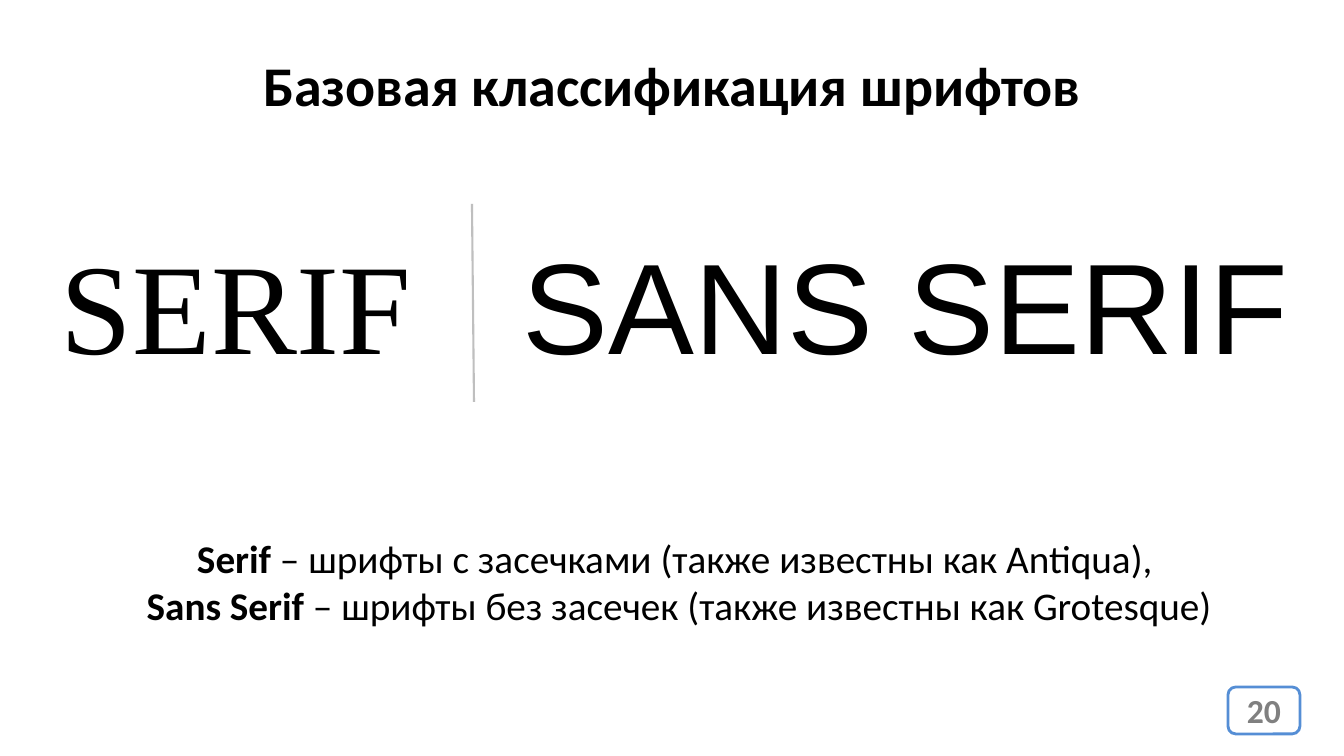
import pptx
import pptx.util
import pptx.dml.color
import pptx.enum.shapes
import pptx.enum.text
from lxml import etree

# Content: paragraphs are lists of (text, bold) runs
TITLE = [[("Базовая классификация шрифтов", True)]]
DEFINITIONS = [
    [("Serif", True), (" – шрифты с засечками (также известны как Antiqua), ", False)],
    [("Sans Serif ", True), ("– шрифты без засечек (также известны как Grotesque)", False)],
]
SAMPLES = [("SERIF", "Times New Roman", 51, 375), ("SANS SERIF", "Arial", 513, 794)]
PAGE_NUMBER = [[("20", True)]]

THEME = {
    "font": "Calibri",
    "text": "000000", "muted": "808080", "paper": "FFFFFF",
    "accent": "558ED5", "divider": "BFBFBF",
    "title": 40, "body": 28, "sample": 92, "number": 24,
}

# Layout in px
WIDTH, HEIGHT = 1344, 756
TITLE_BOX = (0, 46, WIDTH, 78)
DEFINITIONS_BOX = (52, 529, 1254, 105)
SAMPLE_TOP, SAMPLE_HEIGHT = 221, 166
DIVIDER = (472, 204, 474, 402)
BADGE_BOX = (1228, 687, 72, 47)

CENTER = pptx.enum.text.PP_ALIGN.CENTER
LEFT = pptx.enum.text.PP_ALIGN.LEFT


def px(n):
    return pptx.util.Emu(round(n * 914400 / 100.8))


def color(name):
    return pptx.dml.color.RGBColor.from_string(THEME[name])


def write(tf, paragraphs, size, font=THEME["font"], ink="text", align=CENTER):
    for i, runs in enumerate(paragraphs):
        p = tf.add_paragraph() if i else tf.paragraphs[0]
        p.alignment = align
        for text, bold in runs:
            r = p.add_run()
            r.text = text
            r.font.name = font
            r.font.size = pptx.util.Pt(THEME[size])
            r.font.bold = bold
            r.font.color.rgb = color(ink)


def add_text(s, box, paragraphs, size, wrap=True, **style):
    tf = s.shapes.add_textbox(*map(px, box)).text_frame
    tf.word_wrap = wrap
    tf.auto_size = pptx.enum.text.MSO_AUTO_SIZE.SHAPE_TO_FIT_TEXT
    write(tf, paragraphs, size, **style)


def add_badge(s):
    kind = pptx.enum.shapes.MSO_SHAPE.ROUNDED_RECTANGLE
    sp = s.shapes.add_shape(kind, *map(px, BADGE_BOX))
    sp.shadow.inherit = False
    sp.fill.solid()
    sp.fill.fore_color.rgb = color("paper")
    sp.line.color.rgb = color("accent")
    sp.line.width = pptx.util.Pt(2)
    tf = sp.text_frame
    tf.vertical_anchor = pptx.enum.text.MSO_ANCHOR.MIDDLE
    write(tf, PAGE_NUMBER, "number", ink="muted")


def add_divider(s):
    kind = pptx.enum.shapes.MSO_CONNECTOR.STRAIGHT
    line = s.shapes.add_connector(kind, *map(px, DIVIDER))
    line.line.color.rgb = color("divider")
    line.line.width = pptx.util.Pt(1.5)
    sp_pr = line.element.spPr
    etree.SubElement(sp_pr, pptx.oxml.ns.qn("a:effectLst"))


def main():
    prs = pptx.Presentation()
    prs.slide_width, prs.slide_height = px(WIDTH), px(HEIGHT)
    s = prs.slides.add_slide(prs.slide_layouts[6])

    # Page number, heading and definitions
    add_badge(s)
    add_text(s, TITLE_BOX, TITLE, "title")
    add_text(s, DEFINITIONS_BOX, DEFINITIONS, "body")

    # Type samples either side of the divider
    for word, font, left, width in SAMPLES:
        box = (left, SAMPLE_TOP, width, SAMPLE_HEIGHT)
        add_text(s, box, [[(word, False)]], "sample", wrap=False, font=font, align=LEFT)
    add_divider(s)

    prs.save("out.pptx")


if __name__ == "__main__":
    main()
